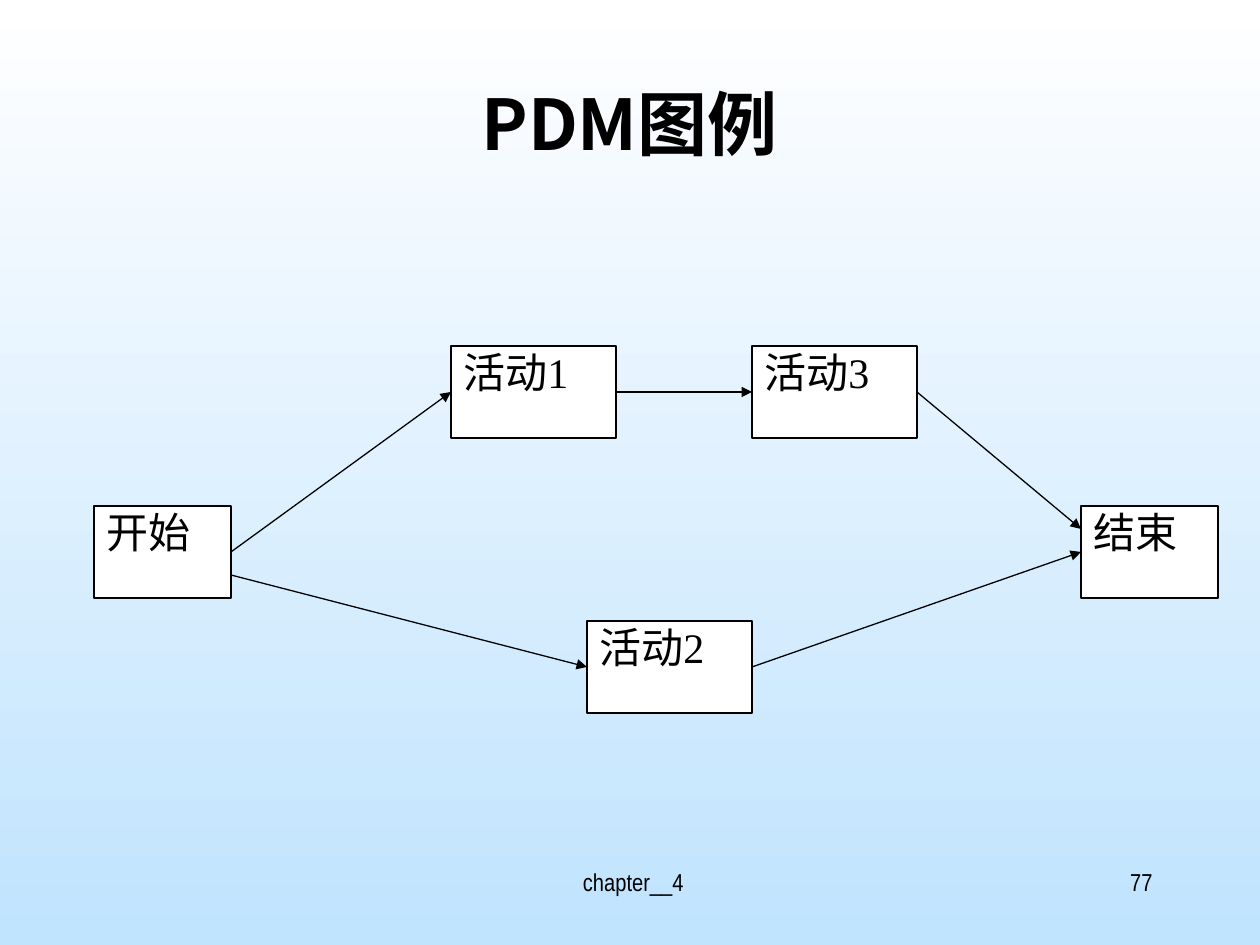
from lxml.etree import SubElement
from pptx import Presentation
from pptx.dml.color import RGBColor
from pptx.enum.shapes import MSO_CONNECTOR, MSO_SHAPE
from pptx.enum.text import MSO_ANCHOR, PP_ALIGN
from pptx.oxml.ns import qn
from pptx.util import Emu, Pt

PX = 914400 // 126
BLACK, WHITE, SKY = "000000", "FFFFFF", "C0E3FE"
CJK = "Noto Sans CJK SC"
RIGHT, LEFT = 3, 1

TITLE = {"size": Pt(40), "name": CJK, "bold": True}
FOOTER = {"size": Pt(14), "name": "Arial Narrow"}
NODE = {"size": Pt(24), "name": "Times New Roman"}

TEXTS = [
    ("PDM图例", (94, 84, 1071, 158), TITLE, PP_ALIGN.CENTER, 0.9),
    (" chapter__4", (431, 861, 399, 63), FOOTER, PP_ALIGN.CENTER, 1.0),
    ("77", (903, 861, 262, 63), FOOTER, PP_ALIGN.RIGHT, 1.0),
]
NODE_H = 92
NODES = {
    "开始": (94, 506, 137),
    "活动1": (451, 346, 165),
    "活动3": (752, 346, 165),
    "活动2": (587, 621, 165),
    "结束": (1081, 506, 137),
}
# (from, height share on its right side, to, height share on its left side)
LINKS = [
    ("开始", 0.75, "活动2", 0.5),
    ("开始", 0.5, "活动1", 0.5),
    ("活动1", 0.5, "活动3", 0.5),
    ("活动2", 0.5, "结束", 0.5),
    ("活动3", 0.5, "结束", 0.25),
]


def px(*values):
    return [Emu(round(v * PX)) for v in values]


def rgb(color):
    return RGBColor.from_string(color)


def write(sp, text, fmt, align, spacing):
    tf = sp.text_frame
    tf.word_wrap = True
    tf.vertical_anchor = MSO_ANCHOR.TOP
    p = tf.paragraphs[0]
    p.alignment, p.line_spacing = align, spacing
    r = p.add_run()
    r.text = text
    for key, value in fmt.items():
        setattr(r.font, key, value)
    r.font.color.rgb = rgb(BLACK)
    SubElement(r.font._element, qn("a:ea")).set("typeface", CJK)


def add_node(s, text, x, y, w):
    sp = s.shapes.add_shape(MSO_SHAPE.RECTANGLE, *px(x, y, w, NODE_H))
    sp.shadow.inherit = False
    sp.fill.solid()
    sp.fill.fore_color.rgb = rgb(WHITE)
    sp.line.color.rgb = rgb(BLACK)
    sp.line.width = Pt(0.75)
    write(sp, text, NODE, PP_ALIGN.JUSTIFY, 0.9)
    return sp


def add_link(s, boxes, start, start_share, end, end_share):
    (x1, y1, w1), (x2, y2, _) = NODES[start], NODES[end]
    ends = px(x1 + w1, y1 + NODE_H * start_share, x2, y2 + NODE_H * end_share)
    cn = s.shapes.add_connector(MSO_CONNECTOR.STRAIGHT, *ends)
    if start_share == 0.5:
        cn.begin_connect(boxes[start], RIGHT)
    if end_share == 0.5:
        cn.end_connect(boxes[end], LEFT)
    cn.line.color.rgb = rgb(BLACK)
    cn.line.width = Pt(0.75)
    SubElement(cn.line._get_or_add_ln(), qn("a:tailEnd")).set("type", "triangle")
    SubElement(cn._element.spPr, qn("a:effectLst"))


def main():
    """Build the PDM diagram slide and save it."""
    prs = Presentation()
    prs.slide_width, prs.slide_height = px(1260, 945)
    s = prs.slides.add_slide(prs.slide_layouts[6])
    fill = s.background.fill
    fill.gradient()
    fill.gradient_angle = 270
    for stop, color in zip(fill.gradient_stops, (WHITE, SKY)):
        stop.color.rgb = rgb(color)
    for text, box, fmt, align, spacing in TEXTS:
        write(s.shapes.add_textbox(*px(*box)), text, fmt, align, spacing)
    boxes = {text: add_node(s, text, *place) for text, place in NODES.items()}
    for link in LINKS:
        add_link(s, boxes, *link)
    prs.save("out.pptx")


if __name__ == "__main__":
    main()
